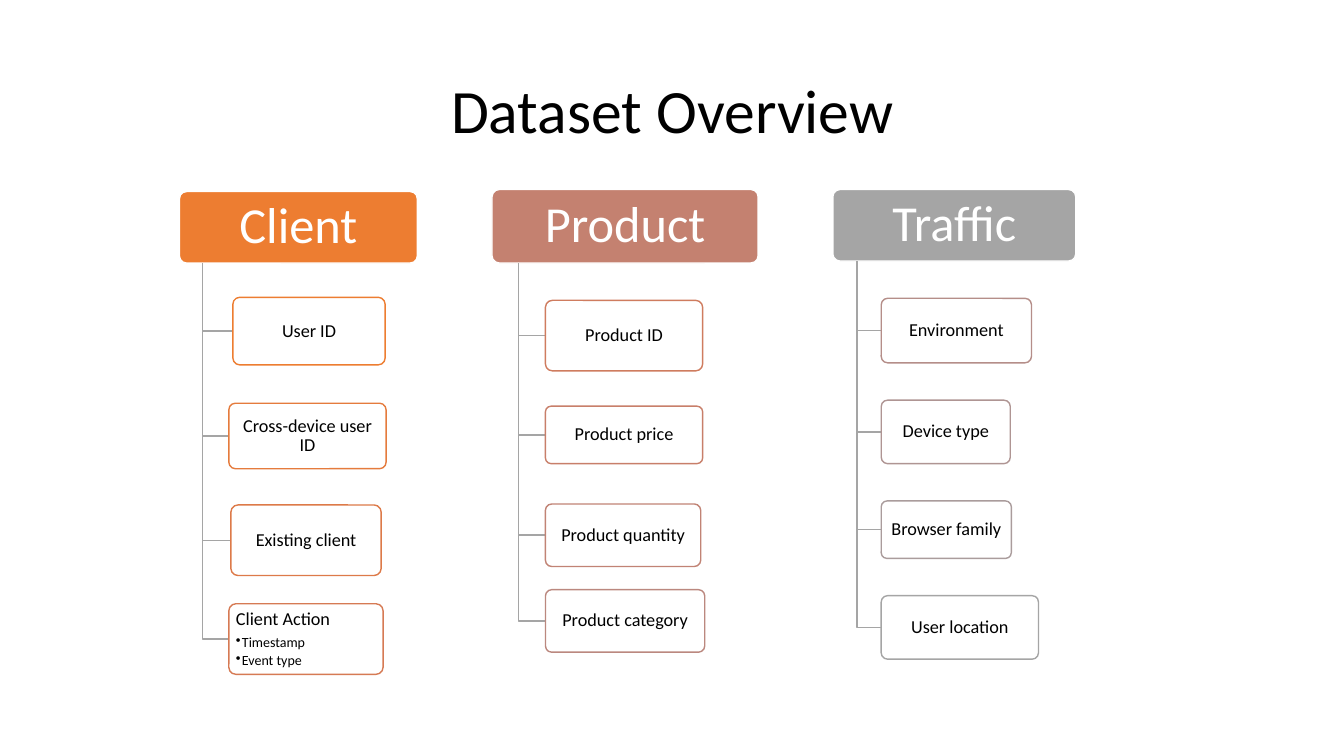
import pptx
import pptx.dml.color
import pptx.enum.shapes
import pptx.enum.text
import pptx.oxml
import pptx.oxml.ns
import pptx.util
from pptx.util import Inches, Pt

TITLE = "Dataset Overview"
FONT, GREY, WHITE, BLACK = "Calibri", "A5A5A5", "FFFFFF", "000000"

# head: text, colour, (left, top, width, height)
# trunk: x of the branch line
# items: text, line colour, (left, top, width, height), bullets
GROUPS = [
    {"head": ("Client", "ED7D31", (1.78, 1.9, 2.36, 0.71)), "trunk": 2.01,
     "items": [
         ("User ID", "ED7D31", (2.31, 2.95, 1.51, 0.67), []),
         ("Cross-device user ID", "E57B3D", (2.27, 4, 1.56, 0.65), []),
         ("Existing client", "DD7A49", (2.29, 5.01, 1.49, 0.7), []),
         ("Client Action", "D67A54", (2.27, 5.99, 1.53, 0.7),
          ["Timestamp", "Event type"])]},
    {"head": ("Product", "C48170", (4.88, 1.88, 2.64, 0.73)), "trunk": 5.14,
     "items": [
         ("Product ID", "CF7C5F", (5.41, 2.98, 1.56, 0.7), []),
         ("Product price", "C87F6A", (5.41, 4.03, 1.56, 0.57), []),
         ("Product quantity", "C18375", (5.41, 5, 1.54, 0.62), []),
         ("Product category", "BB887F", (5.41, 5.85, 1.58, 0.62), [])]},
    {"head": ("Traffic", GREY, (8.26, 1.88, 2.41, 0.71)), "trunk": 8.5,
     "items": [
         ("Environment", "B58E89", (8.74, 2.96, 1.49, 0.64), []),
         ("Device type", "AF9593", (8.74, 3.97, 1.28, 0.63), []),
         ("Browser family", "AA9C9C", (8.74, 4.97, 1.29, 0.57), []),
         ("User location", GREY, (8.74, 5.91, 1.56, 0.63), [])]},
]


def color(code):
    return pptx.dml.color.RGBColor.from_string(code)


def style(para, size, code, centred=True):
    para.line_spacing = 0.9
    align = pptx.enum.text.PP_ALIGN
    para.alignment = align.CENTER if centred else align.LEFT
    para.font.name = FONT
    para.font.size = Pt(size)
    para.font.color.rgb = color(code)


def set_frame(frame, side, edge, middle=True):
    """Set wrapping, margins and anchor of a text frame."""
    frame.word_wrap = True
    frame.margin_left = frame.margin_right = Inches(side)
    frame.margin_top = frame.margin_bottom = Inches(edge)
    anchor = pptx.enum.text.MSO_ANCHOR
    frame.vertical_anchor = anchor.MIDDLE if middle else anchor.TOP


def add_box(slide, place, fill, line):
    kind = pptx.enum.shapes.MSO_SHAPE.ROUNDED_RECTANGLE
    box = slide.shapes.add_shape(kind, *map(Inches, place))
    box.adjustments[0] = 0.1
    box.shadow.inherit = False
    box.fill.solid()
    box.fill.fore_color.rgb = color(fill)
    box.line.color.rgb = color(line)
    box.line.width = Pt(1)
    return box


def add_branch(slide, trunk, top, place):
    """Draw the elbow from a heading down and across to an item."""
    left, y, _, height = place
    mid = y + height / 2
    pen = slide.shapes.build_freeform(Inches(trunk), Inches(top))
    pen.add_line_segments([(Inches(trunk), Inches(mid)),
                           (Inches(left), Inches(mid))], close=False)
    branch = pen.convert_to_shape()
    branch.shadow.inherit = False
    branch.fill.background()
    branch.line.color.rgb = color(GREY)
    branch.line.width = Pt(1)


def add_bullet(frame, text):
    para = frame.add_paragraph()
    para.text = text
    para.level = 1
    props = para._p.get_or_add_pPr()
    props.set("marL", str(Inches(0.06)))
    props.set("indent", str(-Inches(0.06)))
    mark = pptx.oxml.parse_xml(
        f'<a:buChar {pptx.oxml.ns.nsdecls("a")} char="•"/>')
    props.append(mark)
    para.space_after = Pt(1.5)
    style(para, 10, BLACK, centred=False)


def add_item(slide, text, line, place, bullets):
    frame = add_box(slide, place, WHITE, line).text_frame
    set_frame(frame, 0.05, 0.04, middle=not bullets)
    first = frame.paragraphs[0]
    first.text = text
    style(first, 13, BLACK, centred=not bullets)
    if bullets:
        first.space_after = Pt(4.5)
    for bullet in bullets:
        add_bullet(frame, bullet)


def add_group(slide, group):
    text, fill, place = group["head"]
    frame = add_box(slide, place, fill, WHITE).text_frame
    set_frame(frame, 0.09, 0.07)
    frame.text = text
    style(frame.paragraphs[0], 36, WHITE)
    foot = place[1] + place[3]
    for item in group["items"]:
        add_branch(slide, group["trunk"], foot, item[2])
        add_item(slide, *item)


def main():
    deck = pptx.Presentation()
    deck.slide_width, deck.slide_height = Inches(13.33), Inches(7.5)
    slide = deck.slides.add_slide(deck.slide_layouts[6])
    title = slide.shapes.add_textbox(*map(Inches, (0.92, 0.4, 11.5, 1.45)))
    set_frame(title.text_frame, 0.1, 0.05)
    title.text_frame.text = TITLE
    style(title.text_frame.paragraphs[0], 44, BLACK)
    for group in GROUPS:
        add_group(slide, group)
    deck.save("out.pptx")


if __name__ == "__main__":
    main()
